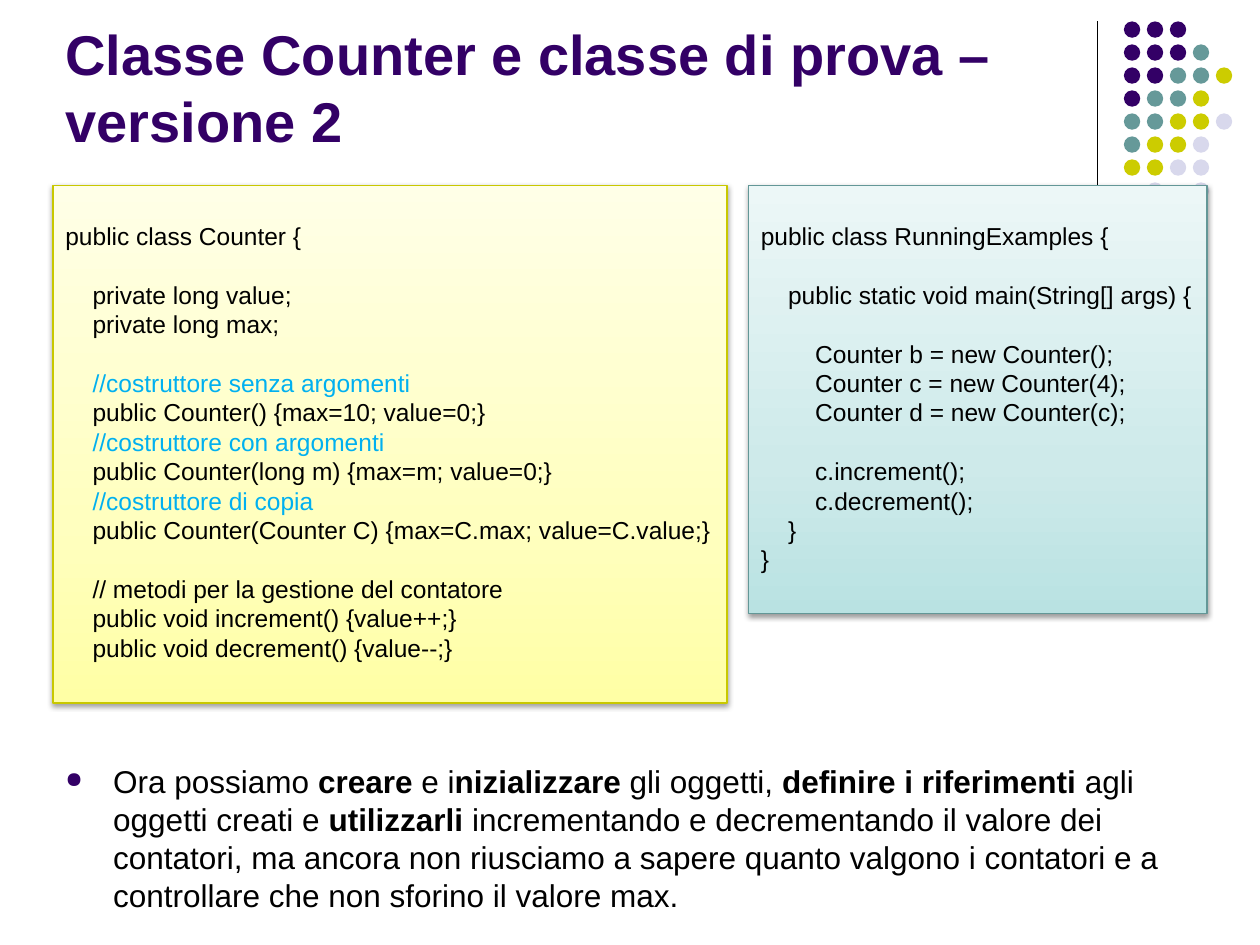
import lxml.etree
import pptx
import pptx.dml.color
import pptx.enum.shapes
import pptx.enum.text
import pptx.oxml
import pptx.oxml.ns
import pptx.util

Inches = pptx.util.Inches
Pt = pptx.util.Pt
SHAPE = pptx.enum.shapes.MSO_SHAPE
ANCHOR = pptx.enum.text.MSO_ANCHOR
qn = pptx.oxml.ns.qn

FONT = "Arial"
PURPLE, BLACK, COMMENT = "330066", "000000", "00B0F0"
CODE_LINE = 16.8  # height of one 14 pt code line, in points

# Each letter is a dot colour, a dot is an empty place
DOT_COLORS = {"P": PURPLE, "T": "669999", "Y": "CCCC00", "L": "D8D8EC"}
DOT_ROWS = ["PPP..", "PPPT.", "PPTTY", "PTTY.", "TTYYL", "TYYL.", "YYLL.", ".L.L."]

COUNTER_CODE = """public class Counter {

    private long value;
    private long max;

    //costruttore senza argomenti
    public Counter() {max=10; value=0;}
    //costruttore con argomenti
    public Counter(long m) {max=m; value=0;}
    //costruttore di copia
    public Counter(Counter C) {max=C.max; value=C.value;}

    // metodi per la gestione del contatore
    public void increment() {value++;}
    public void decrement() {value--;}"""

EXAMPLES_CODE = """public class RunningExamples {

    public static void main(String[] args) {

        Counter b = new Counter();
        Counter c = new Counter(4);
        Counter d = new Counter(c);

        c.increment();
        c.decrement();
    }
}"""

# Text and whether it is bold
SUMMARY = [
    ("Ora possiamo ", False),
    ("creare", True),
    (" e i", False),
    ("nizializzare", True),
    (" gli oggetti, ", False),
    ("definire i riferimenti ", True),
    ("agli oggetti creati e ", False),
    ("utilizzarli", True),
    (" incrementando e decrementando il valore dei contatori, ma ancora non "
     "riusciamo a sapere quanto valgono i contatori e a controllare che non "
     "sforino il valore max.", False),
]


def color(value):
    return pptx.dml.color.RGBColor.from_string(value)


def set_font(font, size, value):
    font.name = FONT
    font.size = Pt(size)
    font.color.rgb = color(value)


def add_xml(parent, body):
    namespace = pptx.oxml.ns.nsdecls("a")
    tag, rest = body[1:].split(">", 1)
    parent.append(pptx.oxml.parse_xml(f"<{tag} {namespace}>{rest}"))


def add_divider(slide, left, top, height):
    line = slide.shapes.add_connector(
        pptx.enum.shapes.MSO_CONNECTOR.STRAIGHT,
        Inches(left), Inches(top), Inches(left), Inches(top + height))
    line.line.color.rgb = color(BLACK)
    line.line.width = Pt(0.75)
    lxml.etree.SubElement(line._element.spPr, qn("a:effectLst"))


def add_dots(slide, left, top, width, diameter=0.13):
    pitch = (width - diameter) / (len(DOT_ROWS[0]) - 1)
    group = slide.shapes.add_group_shape()
    for row, letters in enumerate(DOT_ROWS):
        for column, letter in enumerate(letters):
            if letter not in DOT_COLORS:
                continue
            dot = group.shapes.add_shape(
                SHAPE.OVAL, Inches(left + column * pitch), Inches(top + row * pitch),
                Inches(diameter), Inches(diameter))
            dot.shadow.inherit = False
            dot.fill.solid()
            dot.fill.fore_color.rgb = color(DOT_COLORS[letter])
            dot.line.fill.background()


def add_title(slide, left, top, width, height):
    box = slide.shapes.add_textbox(Inches(left), Inches(top), Inches(width), Inches(height))
    frame = box.text_frame
    frame.word_wrap = True
    frame.vertical_anchor = ANCHOR.BOTTOM
    paragraph = frame.paragraphs[0]
    paragraph.text = "Classe Counter e classe di prova – versione 2"
    set_font(paragraph.font, 32, PURPLE)
    paragraph.font.bold = True


def add_code_panel(slide, left, top, width, height, code, stops, border):
    panel = slide.shapes.add_shape(
        SHAPE.RECTANGLE, Inches(left), Inches(top), Inches(width), Inches(height))
    properties = panel._element.spPr

    # Gradient from the bottom up, then border and soft shadow
    stop_xml = "".join(
        f'<a:gs pos="{position * 1000}"><a:srgbClr val="{value}"/></a:gs>'
        for position, value in zip((0, 35, 100), stops))
    add_xml(properties, f'<a:gradFill rotWithShape="1"><a:gsLst>{stop_xml}</a:gsLst>'
                        '<a:lin ang="16200000" scaled="1"/></a:gradFill>')
    panel.line.color.rgb = color(border)
    panel.line.width = Pt(0.75)
    add_xml(properties, f'<a:effectLst><a:outerShdw blurRad="{Pt(3.1)}" dist="{Pt(1.6)}" '
                        'dir="5400000" rotWithShape="0"><a:srgbClr val="000000">'
                        '<a:alpha val="38000"/></a:srgbClr></a:outerShdw></a:effectLst>')

    # Code, with an empty line turned into space before the next one
    frame = panel.text_frame
    frame.word_wrap = False
    frame.vertical_anchor = ANCHOR.TOP
    frame.margin_top = Inches(0.05) + Pt(CODE_LINE)
    paragraph, gap = frame.paragraphs[0], 0
    for number, line in enumerate(code.split("\n")):
        if not line:
            gap = CODE_LINE
            continue
        if number:
            paragraph = frame.add_paragraph()
        paragraph.text = line
        paragraph.alignment = pptx.enum.text.PP_ALIGN.LEFT
        paragraph.space_before = Pt(gap)
        is_constructor_note = line.strip().startswith("//costruttore")
        set_font(paragraph.font, 14, COMMENT if is_constructor_note else BLACK)
        gap = 0


def add_summary(slide, left, top, width, height):
    box = slide.shapes.add_textbox(Inches(left), Inches(top), Inches(width), Inches(height))
    box.text_frame.word_wrap = True
    paragraph = box.text_frame.paragraphs[0]
    properties = paragraph._p.get_or_add_pPr()
    properties.set("marL", str(Inches(0.38)))
    properties.set("indent", str(-Inches(0.38)))
    add_xml(properties, f'<a:buClr><a:srgbClr val="{PURPLE}"/></a:buClr>')
    add_xml(properties, '<a:buSzPct val="70000"></a:buSzPct>')
    add_xml(properties, '<a:buChar char="●"></a:buChar>')
    set_font(paragraph.font, 18, BLACK)
    for text, bold in SUMMARY:
        run = paragraph.add_run()
        run.text = text
        run.font.bold = bold


def main():
    presentation = pptx.Presentation()
    presentation.slide_width = Inches(10)
    presentation.slide_height = Inches(7.5)
    slide = presentation.slides.add_slide(presentation.slide_layouts[6])

    add_divider(slide, 8.71, 0.17, 1.66)
    add_dots(slide, 8.92, 0.17, 0.86)
    add_title(slide, 0.42, -0.15, 8.25, 1.42)
    add_summary(slide, 0.42, 6, 8.98, 1.02)
    add_code_panel(slide, 0.42, 1.47, 5.35, 4.11, COUNTER_CODE,
                   ("FFFFA5", "FFFFBF", "FFFFE7"), "C8C800")
    add_code_panel(slide, 5.94, 1.47, 3.64, 3.4, EXAMPLES_CODE,
                   ("B9E2E2", "CEEAEA", "ECF7F7"), "639797")
    presentation.save("out.pptx")


if __name__ == "__main__":
    main()
